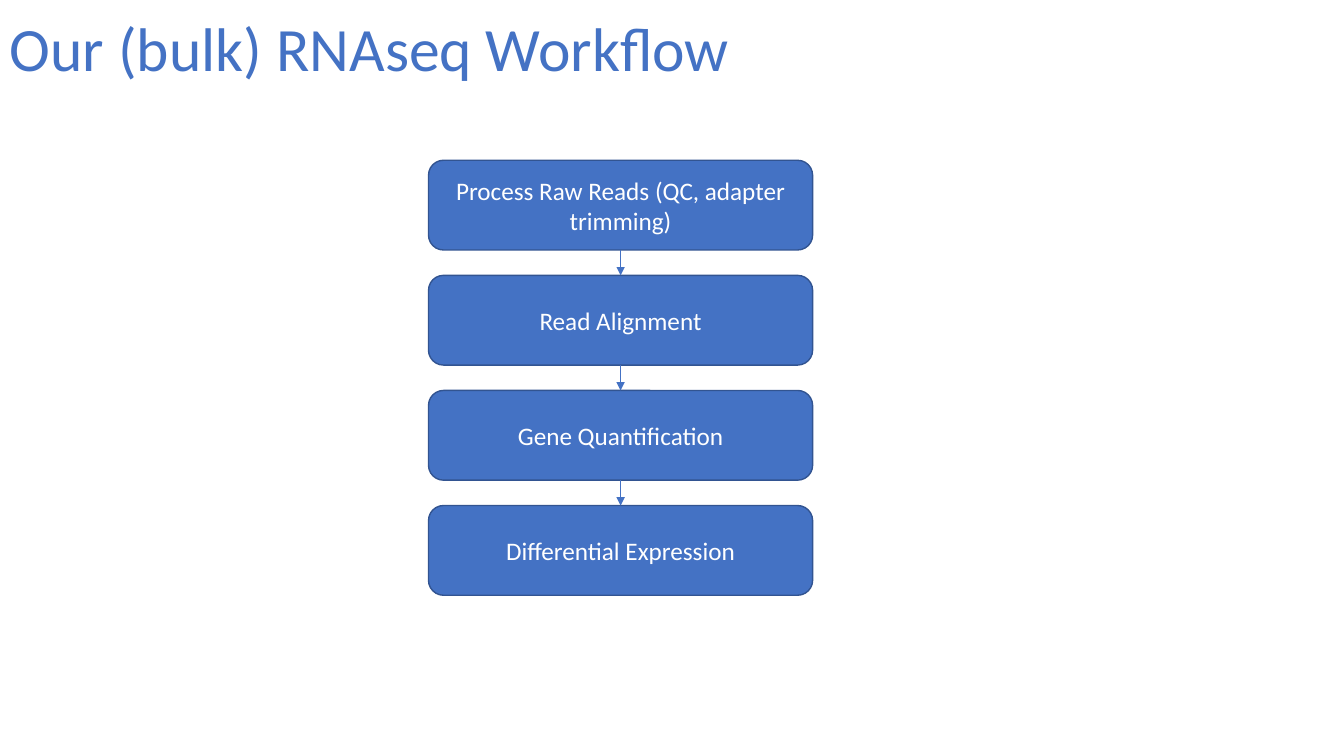
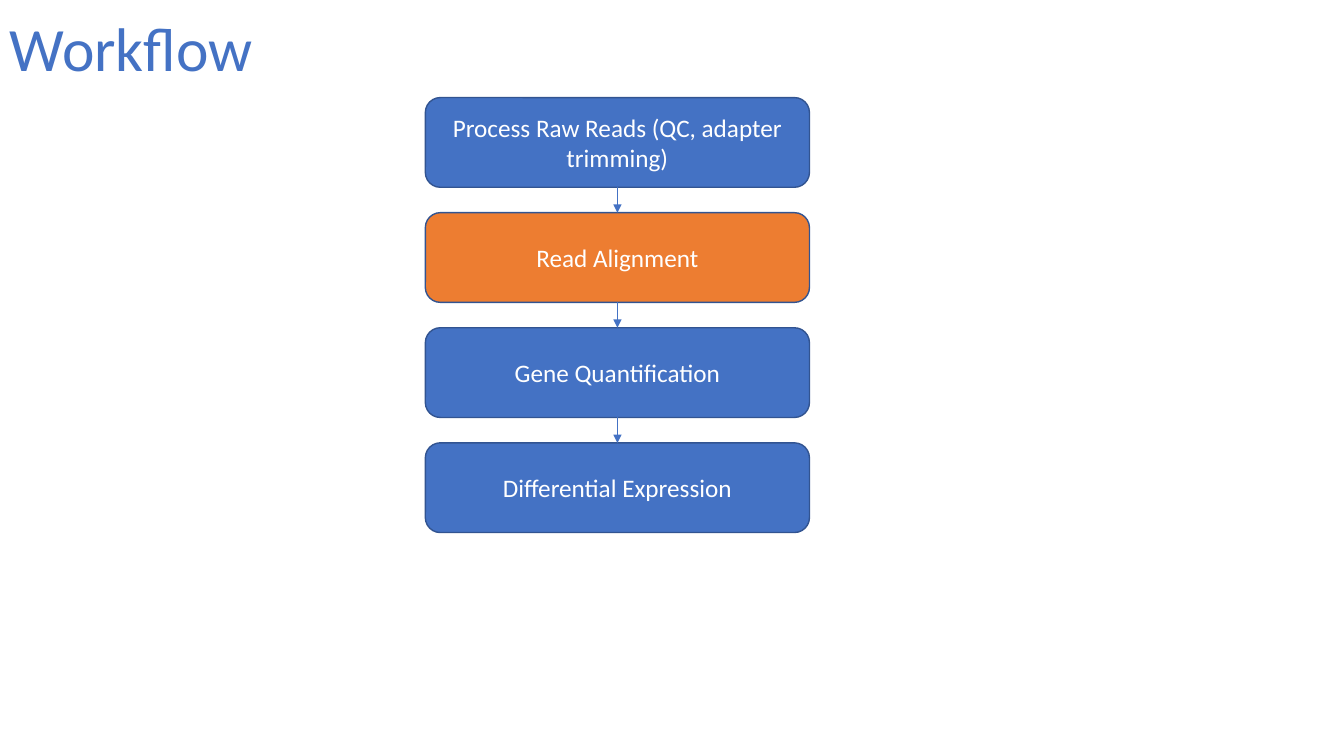
from lxml import etree
from pptx import Presentation
from pptx import util as u
from pptx.dml.color import RGBColor
from pptx.enum import shapes, text
from pptx.oxml.ns import qn

BLUE = RGBColor(0x44, 0x72, 0xC4)
DARK_BLUE = RGBColor(0x32, 0x54, 0x91)
ORANGE = RGBColor(0xED, 0x7D, 0x31)
WHITE = RGBColor(0xFF, 0xFF, 0xFF)

TITLE_FONT = {"name": "Calibri", "size": u.Pt(44)}
STEP_FONT = {"name": "Calibri", "size": u.Pt(18)}
TITLE_FRAME = {"word_wrap": True, "vertical_anchor": text.MSO_ANCHOR.MIDDLE}
STEP_FRAME = {"word_wrap": True, "vertical_anchor": text.MSO_ANCHOR.MIDDLE}
TITLE_PARAGRAPH = {"alignment": text.PP_ALIGN.LEFT, "line_spacing": 0.9}
STEP_PARAGRAPH = {"alignment": text.PP_ALIGN.CENTER}

STEPS = [
    "Process Raw Reads (QC, adapter trimming)",
    "Read Alignment",
    "Gene Quantification",
    "Differential Expression",
]
STEP_WIDTH, STEP_HEIGHT, STEP_PITCH = 9.68, 2.26, 2.9

WORKFLOWS = [
    {"title": "Our (bulk) RNAseq Workflow", "left": 10.8, "top": 4.04, "current": None},
    {"title": "Workflow", "left": 10.72, "top": 2.46, "current": "Read Alignment"},
]


def apply_format(target, values):
    for attribute, value in values.items():
        setattr(target, attribute, value)


def write(shape, wording, frame_format, paragraph_format, font_format, color):
    apply_format(shape.text_frame, frame_format)
    paragraph = shape.text_frame.paragraphs[0]
    apply_format(paragraph, paragraph_format)
    run = paragraph.add_run()
    run.text = wording
    apply_format(run.font, font_format)
    run.font.color.rgb = color


prs = Presentation()
prs.slide_width, prs.slide_height = u.Cm(33.87), u.Cm(19.05)

for workflow in WORKFLOWS:
    slide = prs.slides.add_slide(prs.slide_layouts[6])
    title = slide.shapes.add_textbox(u.Cm(0), u.Cm(0.13), u.Cm(29.21), u.Cm(2.34))
    write(title, workflow["title"], TITLE_FRAME, TITLE_PARAGRAPH, TITLE_FONT, BLUE)

    previous_step = None
    for row, wording in enumerate(STEPS):
        step = slide.shapes.add_shape(
            shapes.MSO_SHAPE.ROUNDED_RECTANGLE,
            u.Cm(workflow["left"]), u.Cm(workflow["top"] + row * STEP_PITCH),
            u.Cm(STEP_WIDTH), u.Cm(STEP_HEIGHT))
        step.shadow.inherit = False
        step.fill.solid()
        step.fill.fore_color.rgb = ORANGE if wording == workflow["current"] else BLUE
        step.line.color.rgb = DARK_BLUE
        step.line.width = u.Pt(1)
        write(step, wording, STEP_FRAME, STEP_PARAGRAPH, STEP_FONT, WHITE)

        if previous_step is not None:
            arrow = slide.shapes.add_connector(shapes.MSO_CONNECTOR.STRAIGHT, 0, 0, 0, 0)
            arrow.begin_connect(previous_step, 2)
            arrow.end_connect(step, 0)
            arrow.line.color.rgb = BLUE
            arrow.line.width = u.Pt(0.5)
            outline = arrow.line._get_or_add_ln()
            etree.SubElement(outline, qn("a:tailEnd"), type="triangle")
            etree.SubElement(arrow._element.spPr, qn("a:effectLst"))
        previous_step = step

prs.save("out.pptx")
